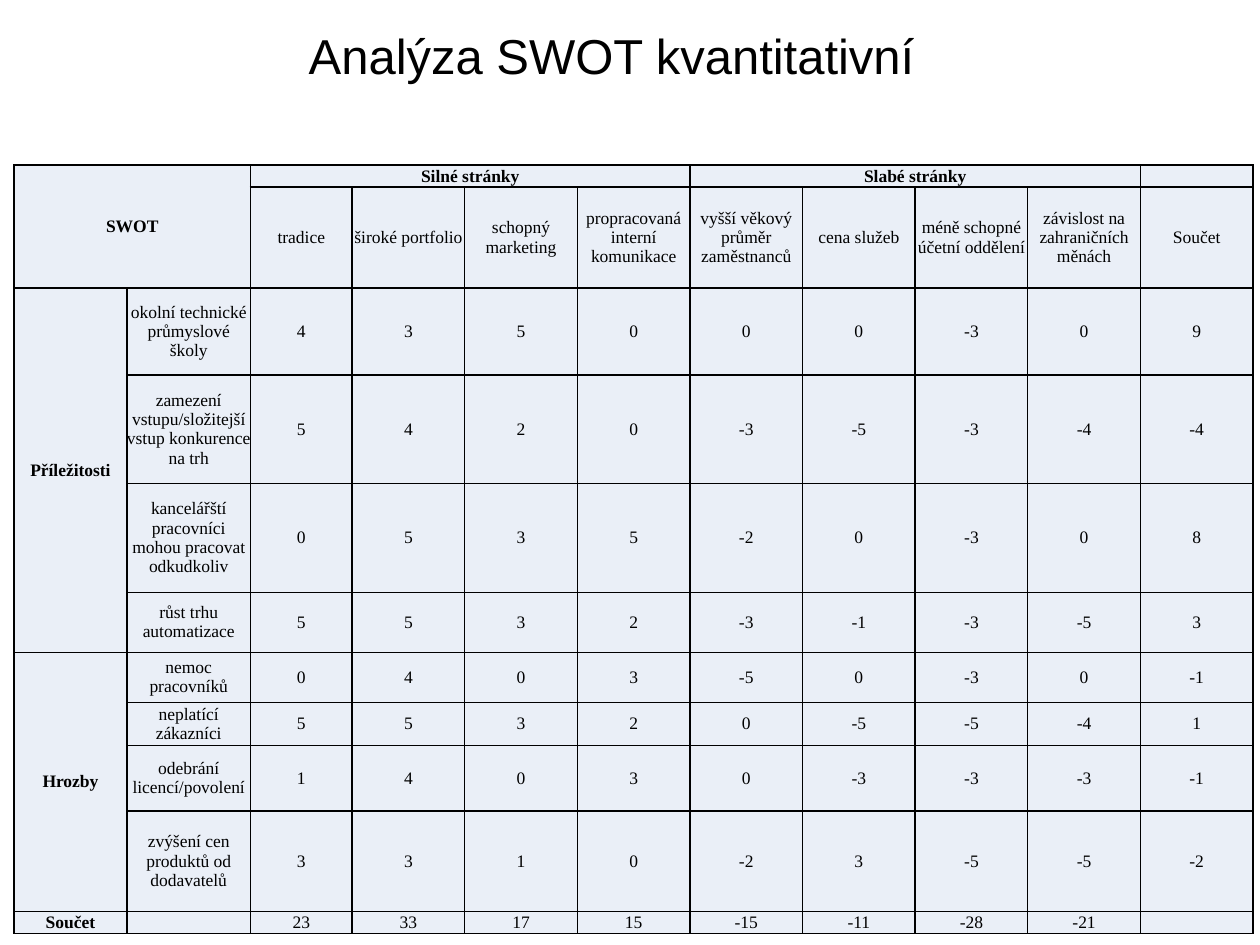
from lxml import etree
from pptx import Presentation
from pptx import util as u
from pptx.dml.color import RGBColor
from pptx.enum import text
from pptx.oxml import ns

BLACK = RGBColor(0x00, 0x00, 0x00)
PALE_BLUE = RGBColor(0xEA, 0xEF, 0xF7)
TABLE_FONT_SIZE = u.Pt(10)

COLUMN_WIDTHS = [2.28, 2.49, 2.05] + [2.27] * 8
ROW_HEIGHTS = [0.44, 2.04, 1.75, 2.19, 2.19, 1.21, 1.01, 0.87, 1.32, 2.03, 0.44]

factors = [
    "tradice", "široké portfolio", "schopný marketing",
    "propracovaná interní komunikace", "vyšší věkový průměr zaměstnanců",
    "cena služeb", "méně schopné účetní oddělení",
    "závislost na zahraničních měnách",
]
scores = {
    "okolní technické průmyslové školy": [4, 3, 5, 0, 0, 0, -3, 0],
    "zamezení vstupu/složitejší vstup konkurence na trh": [5, 4, 2, 0, -3, -5, -3, -4],
    "kancelářští pracovníci mohou pracovat odkudkoliv": [0, 5, 3, 5, -2, 0, -3, 0],
    "růst trhu automatizace": [5, 5, 3, 2, -3, -1, -3, -5],
    "nemoc pracovníků": [0, 4, 0, 3, -5, 0, -3, 0],
    "neplatící zákazníci": [5, 5, 3, 2, 0, -5, -5, -4],
    "odebrání licencí/povolení": [1, 4, 0, 3, 0, -3, -3, -3],
    "zvýšení cen produktů od dodavatelů": [3, 3, 1, 0, -2, 3, -5, -5],
}
# Top-left and bottom-right (row, column) of each merged heading
headings = {
    "SWOT": ((0, 0), (1, 1)),
    "Silné stránky": ((0, 2), (0, 5)),
    "Slabé stránky": ((0, 6), (0, 9)),
    "Příležitosti": ((2, 0), (5, 0)),
    "Hrozby": ((6, 0), (9, 0)),
}


def add_borders(cell):
    properties = cell._tc.get_or_add_tcPr()
    for position, side in enumerate(("lnL", "lnR", "lnT", "lnB")):
        line = etree.Element(ns.qn(f"a:{side}"), w=str(u.Pt(1)))
        fill = etree.SubElement(line, ns.qn("a:solidFill"))
        etree.SubElement(fill, ns.qn("a:srgbClr"), val=str(BLACK))
        properties.insert(position, line)


prs = Presentation()
prs.slide_width, prs.slide_height = u.Cm(25.4), u.Cm(19.05)
slide = prs.slides.add_slide(prs.slide_layouts[5])

title = slide.shapes.title
title.left, title.top = u.Cm(5.97), u.Cm(0.53)
title.width, title.height = u.Cm(18.67), u.Cm(3.02)
title.text_frame.text = "Analýza SWOT kvantitativní"
title.text_frame.vertical_anchor = text.MSO_ANCHOR.TOP
heading = title.text_frame.paragraphs[0]
heading.alignment = text.PP_ALIGN.LEFT
heading.line_spacing = 0.9
heading_font = heading.runs[0].font
heading_font.name, heading_font.size = "Arial", u.Pt(28)
heading_font.color.rgb = BLACK

swot = slide.shapes.add_table(
    len(ROW_HEIGHTS), len(COLUMN_WIDTHS), u.Cm(0.28), u.Cm(3.33),
    u.Cm(sum(COLUMN_WIDTHS)), u.Cm(sum(ROW_HEIGHTS))).table
for column, width in zip(swot.columns, COLUMN_WIDTHS):
    column.width = u.Cm(width)
for row, height in zip(swot.rows, ROW_HEIGHTS):
    row.height = u.Cm(height)

column_totals = [sum(values) for values in zip(*scores.values())]
contents = [[""] * len(COLUMN_WIDTHS), ["", "", *factors, "Součet"]]
contents += [["", name, *values, sum(values)] for name, values in scores.items()]
contents.append(["Součet", "", *column_totals, ""])
for label, ((top, left), (bottom, right)) in headings.items():
    contents[top][left] = label
    swot.cell(top, left).merge(swot.cell(bottom, right))

for r, row_contents in enumerate(contents):
    for c, content in enumerate(row_contents):
        cell = swot.cell(r, c)
        cell.fill.solid()
        cell.fill.fore_color.rgb = PALE_BLUE
        add_borders(cell)
        cell.margin_left = cell.margin_right = cell.margin_top = cell.margin_bottom = 0
        cell.vertical_anchor = text.MSO_ANCHOR.MIDDLE
        cell.text_frame.text = str(content)
        paragraph = cell.text_frame.paragraphs[0]
        paragraph.alignment = text.PP_ALIGN.CENTER
        # Keeps empty cells from stretching the short rows
        paragraph._p.get_or_add_endParaRPr().set("sz", str(TABLE_FONT_SIZE.centipoints))
        for run in paragraph.runs:
            run.font.name, run.font.size = "Times New Roman", TABLE_FONT_SIZE
            run.font.bold = r == 0 or c == 0
            run.font.color.rgb = BLACK

prs.save("out.pptx")
